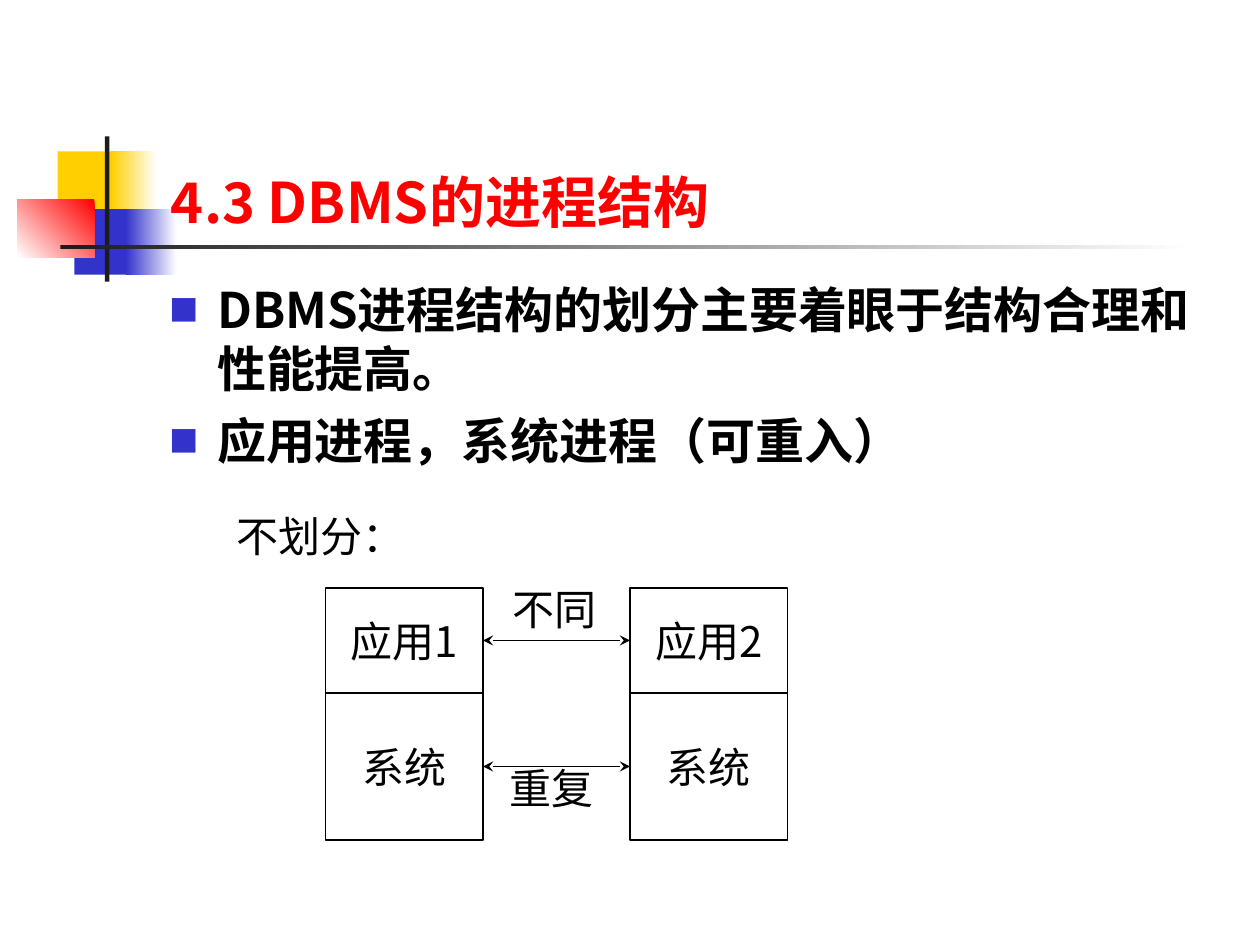
from dataclasses import dataclass

from lxml.etree import SubElement
from pptx import Presentation
from pptx.dml.color import RGBColor
from pptx.enum.shapes import MSO_CONNECTOR, MSO_SHAPE
from pptx.enum.text import MSO_ANCHOR, MSO_AUTO_SIZE, PP_ALIGN
from pptx.oxml.ns import qn
from pptx.util import Pt


@dataclass(frozen=True)
class Theme:
    font: str = "Noto Sans CJK SC"
    title_size: float = 32
    body_size: float = 28
    body_leading: float = 33.8
    label_size: float = 24
    line_width: float = 0.75
    black: str = "000000"
    white: str = "FFFFFF"
    red: str = "FF0000"
    yellow: str = "FFCF01"
    blue: str = "3333CC"
    dark: str = "1C1C1C"


T = Theme()
RIGHT_SIDE, LEFT_SIDE = 3, 1


def rgb(value):
    return RGBColor.from_string(value)


def points(*values):
    return [Pt(v) for v in values]


def style_paragraph(p, size, color, bold=False, align=PP_ALIGN.LEFT):
    p.alignment = align
    for r in p.runs:
        r.font.name = T.font
        r.font.size = Pt(size)
        r.font.bold = bold
        r.font.color.rgb = rgb(color)
        SubElement(r.font._element, qn("a:ea"), typeface=T.font)


def set_label(sp, text):
    tf = sp.text_frame
    tf.word_wrap = False
    tf.vertical_anchor = MSO_ANCHOR.MIDDLE
    tf.text = text
    style_paragraph(tf.paragraphs[0], T.label_size, T.black, align=PP_ALIGN.CENTER)


def add_label(s, text, x, y, w=90, h=60):
    set_label(s.shapes.add_textbox(*points(x, y, w, h)), text)


def add_rect(s, x, y, w, h):
    sp = s.shapes.add_shape(MSO_SHAPE.RECTANGLE, *points(x, y, w, h))
    sp.shadow.inherit = False
    return sp


def add_ornament(s, x, y):
    parts = [
        (23, 8.5, 34.5, 37.5, T.yellow, None),
        (53.5, 8.5, 26, 37.5, T.yellow, 0),
        (32.5, 41.5, 33, 37.5, T.blue, None),
        (62, 41.5, 29, 37.5, T.blue, 0),
        (0, 36, 44, 33, T.red, 225),
        (50, 0, 2.5, 83, T.dark, None),
        (24.5, 62, 648, 2.5, T.dark, 0),
    ]
    for dx, dy, w, h, color, angle in parts:
        sp = add_rect(s, x + dx, y + dy, w, h)
        sp.line.fill.background()
        if angle is None:
            sp.fill.solid()
            sp.fill.fore_color.rgb = rgb(color)
        else:
            sp.fill.gradient()
            sp.fill.gradient_angle = angle
            for stop, stop_color in zip(sp.fill.gradient_stops, (color, T.white)):
                stop.color.rgb = rgb(stop_color)


def add_title(s, text, x, y, w, h):
    sp = s.shapes.title
    s.shapes._spTree.append(sp._element)
    sp.left, sp.top, sp.width, sp.height = points(x, y, w, h)
    tf = sp.text_frame
    tf.text = text
    tf.auto_size = MSO_AUTO_SIZE.NONE
    tf.vertical_anchor = MSO_ANCHOR.BOTTOM
    style_paragraph(tf.paragraphs[0], T.title_size, T.red, bold=True)


def add_bullet(p, indent):
    pPr = p._p.get_or_add_pPr()
    pPr.set("marL", str(Pt(indent)))
    pPr.set("indent", str(-Pt(indent)))
    SubElement(SubElement(pPr, qn("a:buClr")), qn("a:srgbClr"), val=T.blue)
    SubElement(pPr, qn("a:buSzPct"), val="60000")
    SubElement(pPr, qn("a:buFont"), typeface=T.font)
    SubElement(pPr, qn("a:buChar"), char="■")


def add_body(s, lines, x, y, w, h):
    tf = s.shapes.add_textbox(*points(x, y, w, h)).text_frame
    tf.word_wrap = True
    tf.text = "\n".join(lines)
    for p in tf.paragraphs:
        style_paragraph(p, T.body_size, T.black, bold=True)
        p.space_before = Pt(7)
        p.line_spacing = Pt(T.body_leading)
        add_bullet(p, 27)


def add_process(s, names, x, y, w, heights):
    boxes = []
    for name, h in zip(names, heights):
        sp = add_rect(s, x, y, w, h)
        sp.fill.background()
        sp.line.color.rgb = rgb(T.black)
        sp.line.width = Pt(T.line_width)
        set_label(sp, name)
        boxes.append(sp)
        y += h
    return boxes


def add_double_arrow(s, left, right):
    cx = s.shapes.add_connector(MSO_CONNECTOR.STRAIGHT, 0, 0, 0, 0)
    cx.begin_connect(left, RIGHT_SIDE)
    cx.end_connect(right, LEFT_SIDE)
    cx.line.color.rgb = rgb(T.black)
    cx.line.width = Pt(T.line_width)
    ln = cx.line._get_or_add_ln()
    for end in ("a:headEnd", "a:tailEnd"):
        SubElement(ln, qn(end), type="stealth")
    SubElement(cx._element.spPr, qn("a:effectLst"))


def add_diagram(s, x, y):
    w, gap, heights = 90, 84, (60, 84)
    first = add_process(s, ("应用1", "系统"), x, y, w, heights)
    second = add_process(s, ("应用2", "系统"), x + w + gap, y, w, heights)
    for left, right in zip(first, second):
        add_double_arrow(s, left, right)
    add_label(s, "不同", x + 86, y - 18)
    add_label(s, "重复", x + 84, y + 84)
    add_label(s, "不划分：", x - 60, y - 60)


def main():
    prs = Presentation()
    prs.slide_width, prs.slide_height = points(720, 540)
    s = prs.slides.add_slide(prs.slide_layouts[5])
    add_ornament(s, 10, 78)
    add_title(s, "4.3 DBMS的进程结构", 90.5, 48, 613.5, 90)
    add_body(s, ["DBMS进程结构的划分主要着眼于结构合理和性能提高。",
                 "应用进程，系统进程（可重入）"], 90, 156, 612, 126)
    add_diagram(s, 186, 336)
    prs.save("out.pptx")


if __name__ == "__main__":
    main()
